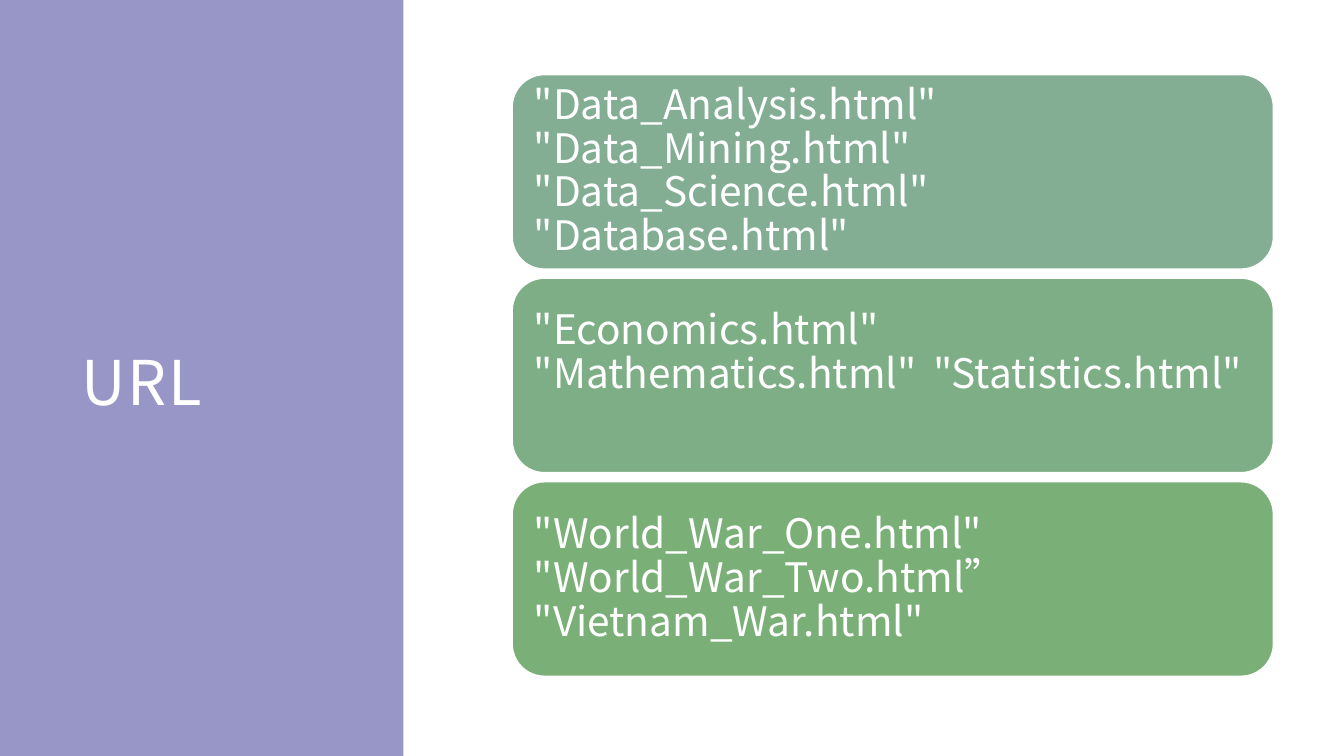
import dataclasses

import pptx
import pptx.dml.color
import pptx.enum.shapes
import pptx.enum.text
import pptx.oxml.ns
import pptx.util
from lxml import etree

Inches = pptx.util.Inches
SLIDE_W, SLIDE_H = 13.33, 7.5


@dataclasses.dataclass(frozen=True)
class Theme:
    font: str = "Noto Sans CJK SC"
    title_size: float = 44
    card_size: float = 29
    white: str = "FFFFFF"
    panel: str = "9896C6"
    cards: tuple = ("83AE93", "7EAE85", "7BAF78")


THEME = Theme()

# Wavy right edge of the panel: (x, y) in inches from its top left corner
WAVY_EDGE = [
    (4.46, 0), (4.46, 0.63), (4.46, 1.02), (4.45, 1.22), (4.46, 1.41),
    (4.47, 1.58), (4.46, 1.74), (4.45, 2.04), (4.46, 2.33), (4.47, 2.78),
    (4.45, 3.22), (4.44, 3.53), (4.45, 3.83), (4.47, 4.15), (4.47, 4.46),
    (4.46, 4.86), (4.46, 5.07), (4.45, 5.28), (4.45, 5.49), (4.47, 5.75),
    (4.47, 6), (4.46, 6.39), (4.47, 6.62), (4.46, 6.85), (4.47, 7.33),
    (4.46, 7.5),
]

# Text of each card and the number of empty lines kept free below it
URL_GROUPS = [
    ('"Data_Analysis.html" "Data_Mining.html" "Data_Science.html" "Database.html"', 0),
    ('"Economics.html" "Mathematics.html"\t"Statistics.html"', 1),
    ('"World_War_One.html" "World_War_Two.html” "Vietnam_War.html"', 0),
]
LINE_HEIGHT = 0.43
SECOND_COLUMN = 3.96


def rgb(value):
    return pptx.dml.color.RGBColor.from_string(value)


def apply_format(target, values):
    for name, value in values.items():
        setattr(target, name, value)


def paint(shape, fill, line=None):
    shape.shadow.inherit = False
    shape.fill.solid()
    shape.fill.fore_color.rgb = rgb(fill)
    if line:
        shape.line.color.rgb = rgb(line)
        shape.line.width = pptx.util.Pt(1)
    else:
        shape.line.fill.background()


def write(shape, text, size, line_spacing, bottom=0.12):
    frame = shape.text_frame
    apply_format(frame, {
        "word_wrap": True,
        "auto_size": pptx.enum.text.MSO_AUTO_SIZE.NONE,
        "vertical_anchor": pptx.enum.text.MSO_ANCHOR.MIDDLE,
        "margin_left": Inches(0.12),
        "margin_right": Inches(0.12),
        "margin_top": Inches(0.12),
        "margin_bottom": Inches(bottom),
    })
    paragraph = frame.paragraphs[0]
    apply_format(paragraph, {
        "alignment": pptx.enum.text.PP_ALIGN.LEFT,
        "line_spacing": line_spacing,
    })
    run = paragraph.add_run()
    run.text = text
    apply_format(run.font, {"name": THEME.font, "size": pptx.util.Pt(size)})
    run.font.color.rgb = rgb(THEME.white)
    return paragraph, run


def add_tab_stop(paragraph, position):
    properties = paragraph._p.get_or_add_pPr()
    stops = etree.SubElement(properties, pptx.oxml.ns.qn("a:tabLst"))
    etree.SubElement(stops, pptx.oxml.ns.qn("a:tab"),
                     pos=str(Inches(position)), algn="l")


def title_panel(slide, left, top, width, height):
    # Wavy panel, placed behind the title
    outline = slide.shapes.build_freeform(
        Inches(left), Inches(top), scale=Inches(1))
    outline = slide.shapes.build_freeform(left, top, scale=Inches(1))
    edge = [(left + x, top + y) for x, y in WAVY_EDGE]
    outline.add_line_segments(edge + [(left, top + height)], close=True)
    panel = outline.convert_to_shape()
    paint(panel, THEME.panel)
    title = slide.shapes.title
    title.element.addprevious(panel.element)

    # Title
    apply_format(title, {
        "left": Inches(left + 0.69),
        "top": Inches(top + 0.7),
        "width": Inches(width - 1.08),
        "height": Inches(height - 1.39),
    })
    _, run = write(title, "URL", THEME.title_size, 1.05, bottom=0.1)
    run.font._element.set("spc", "120")


def url_cards(slide, left, top, width, height, gap=0.09):
    card_height = (height - gap * (len(URL_GROUPS) - 1)) / len(URL_GROUPS)
    for row, ((urls, free_lines), fill) in enumerate(zip(URL_GROUPS, THEME.cards)):
        card = slide.shapes.add_shape(
            pptx.enum.shapes.MSO_SHAPE.ROUNDED_RECTANGLE,
            Inches(left), Inches(top + row * (card_height + gap)),
            Inches(width), Inches(card_height))
        paint(card, fill, THEME.white)
        paragraph, _ = write(card, urls, THEME.card_size, 0.9,
                             bottom=0.12 + free_lines * LINE_HEIGHT)
        if "\t" in urls:
            add_tab_stop(paragraph, SECOND_COLUMN)


def main():
    deck = pptx.Presentation()
    apply_format(deck, {"slide_width": Inches(SLIDE_W),
                        "slide_height": Inches(SLIDE_H)})
    slide = deck.slides.add_slide(deck.slide_layouts[5])
    slide.background.fill.solid()
    slide.background.fill.fore_color.rgb = rgb(THEME.white)
    title_panel(slide, 0, 0, 4.47, SLIDE_H)
    url_cards(slide, 5.08, 0.74, 7.55, 5.97)
    deck.save("out.pptx")


if __name__ == "__main__":
    main()
